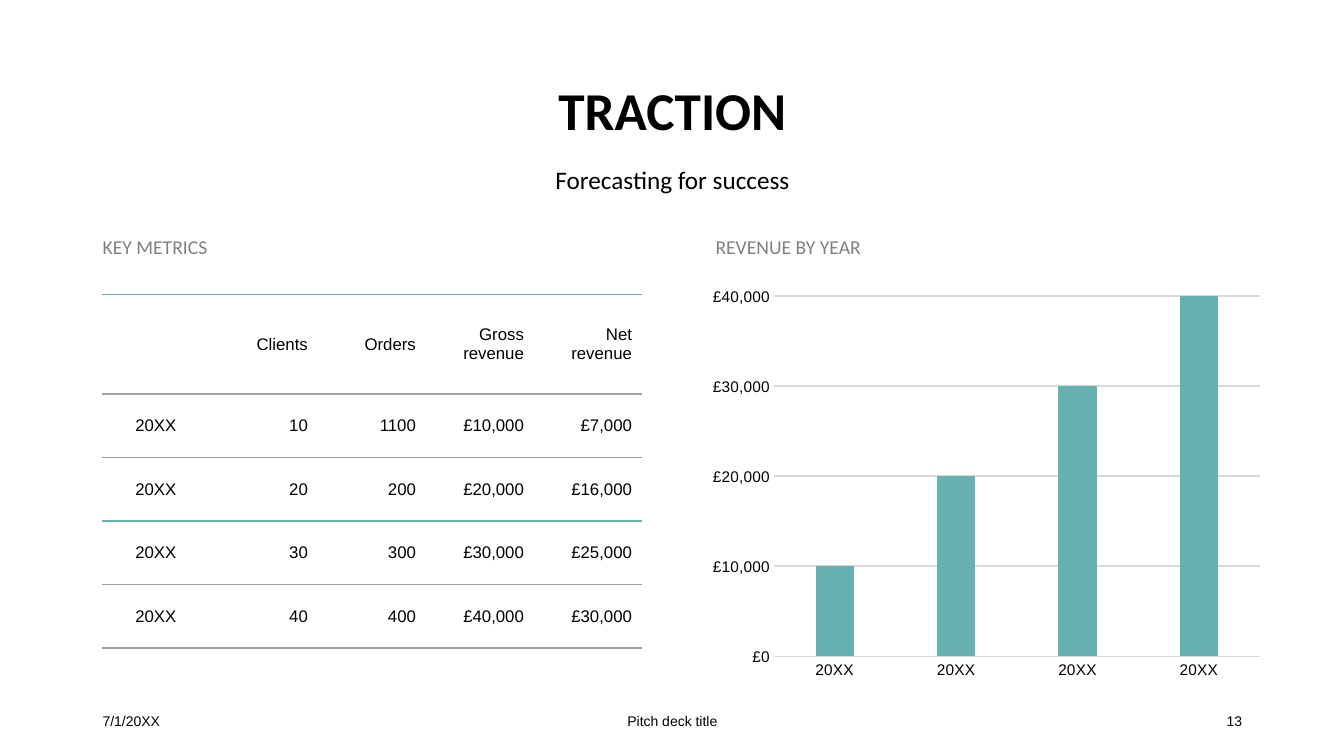
from dataclasses import dataclass
from typing import Any

from lxml import etree
from pptx import Presentation
from pptx import util as u
from pptx.chart import data as cd
from pptx.dml import color as dc
from pptx.enum import chart as ce, text as te
from pptx.oxml import ns


@dataclass(frozen=True)
class Theme:
    teal: str = "66B2B0"
    rule: str = "A0A0A0"
    grid: str = "D9D9D9"
    grey: str = "808080"
    ink: str = "000000"
    head: str = "Calibri"
    body: str = "Arial"
    title: int = 38
    sub: int = 18
    label: int = 14
    cell: int = 12
    axis: int = 11
    foot: int = 10


@dataclass(frozen=True)
class Box:
    x: float
    y: float
    w: float
    h: float


@dataclass(frozen=True)
class Label:
    words: str
    box: Box
    size: int
    face: str
    tint: str
    para: dict[str, Any]
    anchor: Any = te.MSO_ANCHOR.MIDDLE
    bold: bool = False


T = Theme()
WIDE, HIGH = u.Inches(13.33), u.Inches(7.5)
LEFT, MID, RIGHT = te.PP_ALIGN.LEFT, te.PP_ALIGN.CENTER, te.PP_ALIGN.RIGHT
LOW, TOP = te.MSO_ANCHOR.BOTTOM, te.MSO_ANCHOR.TOP

HEAD = {"alignment": LEFT, "line_spacing": 0.9, "space_before": u.Pt(10)}
LABELS = [
    Label("TRACTION", Box(12.9, 10.27, 74.27, 9.33), T.title, T.head, T.ink,
          {"alignment": MID, "line_spacing": 0.9}, bold=True),
    Label("Forecasting for success", Box(12.9, 20.27, 74.27, 5.73), T.sub, T.head,
          T.ink, {"alignment": MID, "line_spacing": u.Pt(26)}, TOP),
    Label("KEY METRICS", Box(6.9, 29.2, 42.3, 5.73), T.label, T.head, T.grey, HEAD, LOW),
    Label("REVENUE BY YEAR", Box(52.5, 29.2, 35.56, 5.73), T.label, T.head, T.grey,
          HEAD, LOW),
] + [
    Label(words, Box(x, 92.67, w, 5.33), T.foot, T.body, T.ink, {"alignment": side})
    for words, x, w, side in [
        ("7/1/20XX", 6.9, 22.5, LEFT),
        ("Pitch deck title", 33.15, 33.75, MID),
        ("13", 70.65, 22.5, RIGHT),
    ]
]

METRICS = [
    ["", "Clients", "Orders", "Gross revenue", "Net revenue"],
    ["20XX", "10", "1100", "£10,000", "£7,000"],
    ["20XX", "20", "200", "£20,000", "£16,000"],
    ["20XX", "30", "300", "£30,000", "£25,000"],
    ["20XX", "40", "400", "£40,000", "£30,000"],
]
RULES = [T.teal, T.rule, T.rule, T.teal, T.rule, T.rule]
ROWS = [13.2] + [8.4] * 4
TABLE = Box(7.58, 38.93, 40.2, sum(ROWS))
CHART = Box(52.2, 36.93, 42.38, 53.87)
SALES = [10000, 20000, 30000, 40000]


def across(share: float) -> int:
    return round(WIDE * share / 100)


def down(share: float) -> int:
    return round(HIGH * share / 100)


def place(box: Box) -> tuple[int, int, int, int]:
    return across(box.x), down(box.y), across(box.w), down(box.h)


def apply(item: Any, values: dict[str, Any]) -> None:
    for name, value in values.items():
        setattr(item, name, value)


def style(font: Any, size: int, face: str, tint: str, bold: bool = False) -> None:
    apply(font, {"size": u.Pt(size), "name": face, "bold": bold})
    font.color.rgb = dc.RGBColor.from_string(tint)


def write(frame: Any, label: Label) -> None:
    para = frame.paragraphs[0]
    apply(para, label.para)
    run = para.add_run()
    run.text = label.words
    style(run.font, label.size, label.face, label.tint, label.bold)


def draw_label(slide: Any, label: Label) -> None:
    frame = slide.shapes.add_textbox(*place(label.box)).text_frame
    apply(frame, {"word_wrap": True, "vertical_anchor": label.anchor})
    write(frame, label)


def edge(cell: Any, spot: int, side: str, tint: str | None) -> None:
    line = etree.Element(ns.qn(f"a:ln{side}"), w=str(u.Pt(1 if tint else 0)))
    if tint:
        fill = etree.SubElement(line, ns.qn("a:solidFill"))
        etree.SubElement(fill, ns.qn("a:srgbClr"), val=tint)
    else:
        etree.SubElement(line, ns.qn("a:noFill"))
    cell._tc.get_or_add_tcPr().insert(spot, line)


def draw_table(slide: Any) -> None:
    table = slide.shapes.add_table(len(METRICS), len(METRICS[0]), *place(TABLE)).table
    apply(table, {"first_row": False, "horz_banding": False})
    for col in table.columns:
        col.width = across(TABLE.w / len(METRICS[0]))
    for r, line in enumerate(METRICS):
        table.rows[r].height = down(ROWS[r])
        for c, words in enumerate(line):
            cell = table.cell(r, c)
            cell.vertical_anchor = te.MSO_ANCHOR.MIDDLE
            cell.fill.background()
            sides = {"L": None, "R": None, "T": RULES[r], "B": RULES[r + 1]}
            for spot, (side, tint) in enumerate(sides.items()):
                edge(cell, spot, side, tint)
            if words:
                write(cell.text_frame, Label(words, TABLE, T.cell, T.body, T.ink,
                                             {"alignment": RIGHT if c else MID}))


def rule(line: Any) -> None:
    line.color.rgb = dc.RGBColor.from_string(T.grid)
    line.width = u.Pt(1.25)


def draw_chart(slide: Any) -> None:
    data = cd.CategoryChartData()
    data.categories = ["20XX"] * len(SALES)
    data.add_series("Series 1", SALES)
    kind = ce.XL_CHART_TYPE.COLUMN_CLUSTERED
    chart = slide.shapes.add_chart(kind, *place(CHART), data).chart
    apply(chart, {"has_legend": False, "has_title": False})
    style(chart.font, T.foot, T.body, T.ink)
    plot = chart.plots[0]
    apply(plot, {"gap_width": 219, "overlap": -27, "vary_by_categories": False})
    fill = plot.series[0].format.fill
    fill.solid()
    fill.fore_color.rgb = dc.RGBColor.from_string(T.teal)
    cats, vals = chart.category_axis, chart.value_axis
    for axis in (cats, vals):
        apply(axis, {"major_tick_mark": ce.XL_TICK_MARK.NONE,
                     "minor_tick_mark": ce.XL_TICK_MARK.NONE})
        style(axis.tick_labels.font, T.axis, T.body, T.ink)
    apply(vals, {"minimum_scale": 0, "maximum_scale": 40000, "major_unit": 10000,
                 "has_major_gridlines": True})
    apply(vals.tick_labels, {"number_format": "[$£-809]#,##0",
                             "number_format_is_linked": False})
    vals.format.line.fill.background()
    rule(cats.format.line)
    rule(vals.major_gridlines.format.line)


def main() -> None:
    deck = Presentation()
    apply(deck, {"slide_width": WIDE, "slide_height": HIGH})
    slide = deck.slides.add_slide(deck.slide_layouts[6])
    for label in LABELS:
        draw_label(slide, label)
    draw_table(slide)
    draw_chart(slide)
    deck.save("out.pptx")


if __name__ == "__main__":
    main()
